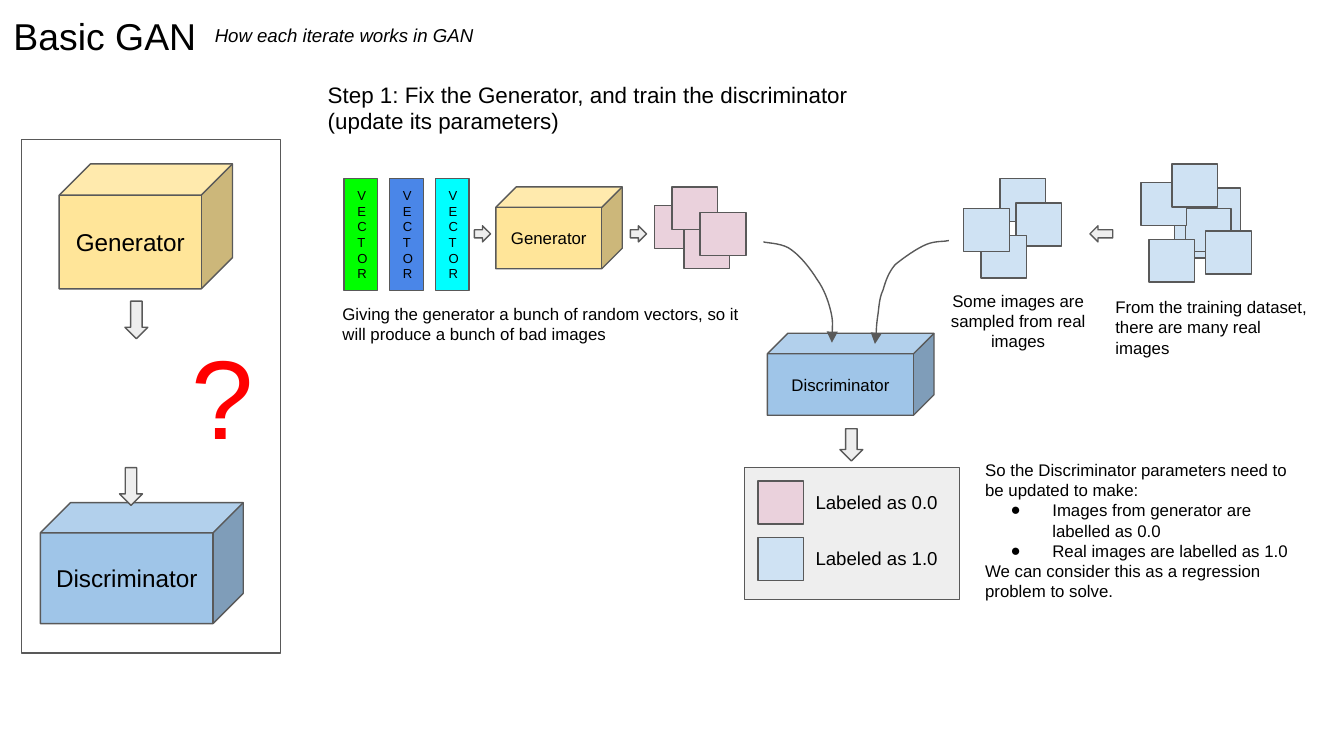
from typing import NamedTuple

import pptx
import pptx.dml.color
import pptx.enum.shapes
import pptx.enum.text
import pptx.oxml
import pptx.oxml.ns
import pptx.util

PX = 9144
SLIDE_W = 1000 * PX
SLIDE_H = SLIDE_W * 9 // 16
FONT = "Arial"
INSET = 10
IMAGE_W, IMAGE_H = 34, 32
COLORS = {
    "ink": "000000", "line": "595959", "question": "FF0000", "panel": "EEEEEE",
    "generator": "FFE599", "discriminator": "9FC5E8",
    "fake": "EAD1DC", "real": "CFE2F3",
    "green": "00FF00", "blue": "4A86E8", "cyan": "00FFFF",
}
SHAPE = pptx.enum.shapes.MSO_SHAPE
ANCHOR = pptx.enum.text.MSO_ANCHOR
ALIGN = pptx.enum.text.PP_ALIGN
qn = pptx.oxml.ns.qn


class Box(NamedTuple):
    x: int
    y: int
    w: int
    h: int


class Block(NamedTuple):
    kind: SHAPE
    box: Box
    color: str | None
    text: str = ""
    size: int = 9
    align: ALIGN = ALIGN.CENTER


class Label(NamedTuple):
    box: Box
    text: str
    size: int
    align: ALIGN = ALIGN.LEFT
    color: str = "ink"
    italic: bool = False


class Stack(NamedTuple):
    color: str
    corners: list[tuple[int, int]]


class Curve(NamedTuple):
    start: tuple[int, int]
    points: list[tuple[int, int]]


BLOCKS = [
    Block(SHAPE.RECTANGLE, Box(554, 348, 160, 98), "panel"),
    Block(SHAPE.RECTANGLE, Box(16, 104, 193, 382), None),
    Block(SHAPE.CUBE, Box(44, 122, 129, 93), "generator", "Generator", 13),
    Block(SHAPE.CUBE, Box(30, 374, 151, 90), "discriminator", "Discriminator", 13),
    Block(SHAPE.CUBE, Box(369, 139, 94, 61), "generator", "Generator"),
    Block(SHAPE.CUBE, Box(571, 248, 124, 61), "discriminator", "Discriminator"),
    Block(SHAPE.DOWN_ARROW, Box(93, 224, 17, 28), "panel"),
    Block(SHAPE.DOWN_ARROW, Box(89, 348, 17, 28), "panel"),
    Block(SHAPE.RIGHT_ARROW, Box(353, 168, 12, 12), "panel"),
    Block(SHAPE.RIGHT_ARROW, Box(469, 168, 12, 12), "panel"),
    Block(SHAPE.LEFT_ARROW, Box(811, 168, 17, 12), "panel"),
    Block(SHAPE.DOWN_ARROW, Box(625, 319, 17, 24), "panel"),
] + [
    Block(SHAPE.FLOWCHART_PROCESS, Box(256 + 34 * i, 133, 25, 83), color,
          "VE\nC\nT\nO\nR", 7, ALIGN.LEFT)
    for i, color in enumerate(["green", "blue", "cyan"])
]

STACKS = [
    Stack("fake", [(487, 153), (509, 168), (500, 139), (521, 158)]),
    Stack("real", [(874, 160), (889, 140), (882, 155), (849, 136),
                   (872, 122), (855, 178), (897, 172)]),
    Stack("real", [(744, 133), (756, 151), (730, 175), (717, 155)]),
    Stack("fake", [(564, 358)]),
    Stack("real", [(564, 400)]),
]

LABELS = [
    Label(Box(150, 8, 260, 37), "How each iterate works in GAN", 10, italic=True),
    Label(Box(133, 234, 82, 121), "?", 60, color="question"),
    Label(Box(234, 50, 432, 61), "Step 1: Fix the Generator, and train the "
          "discriminator (update its parameters)", 12),
    Label(Box(245, 216, 326, 50), "Giving the generator a bunch of random vectors, "
          "so it will produce a bunch of bad images", 9),
    Label(Box(820, 211, 171, 66),
          "From the training dataset, there are many real images", 9),
    Label(Box(693, 206, 129, 66),
          "Some images are sampled from real images", 9, ALIGN.CENTER),
    Label(Box(597, 355, 116, 37), "Labeled as 0.0", 10),
    Label(Box(597, 397, 116, 37), "Labeled as 1.0", 10),
]

TITLE = Label(Box(0, 0, 186, 54), "Basic GAN", 20)
GOAL = Label(
    Box(723, 332, 260, 126),
    "So the Discriminator parameters need to be updated to make:\n"
    "Images from generator are labelled as 0.0\n"
    "Real images are labelled as 1.0\n"
    "We can consider this as a regression problem to solve.", 9)
GOAL_BULLETS = {1, 2}

CURVES = [
    Curve((568, 180), [(572, 181), (583, 181), (589, 186), (596, 191), (603, 200),
                       (608, 208), (613, 215), (616, 223), (618, 231),
                       (620, 239), (619, 251), (619, 255)]),
    Curve((706, 179), [(703, 180), (696, 179), (689, 182), (682, 185), (672, 192),
                       (666, 197), (661, 203), (659, 209), (657, 216),
                       (654, 222), (654, 230), (653, 236),
                       (652, 243), (652, 252), (651, 256)]),
]


def emu(box: Box) -> list[int]:
    return [v * PX for v in box]


def rgb(name: str) -> pptx.dml.color.RGBColor:
    return pptx.dml.color.RGBColor.from_string(COLORS[name])


def write(sp, text: str, size: int, align: ALIGN, anchor: ANCHOR = ANCHOR.TOP,
          color: str = "ink", italic: bool = False) -> None:
    tf = sp.text_frame
    tf.word_wrap = True
    tf.auto_size = pptx.enum.text.MSO_AUTO_SIZE.NONE
    tf.vertical_anchor = anchor
    tf.margin_left = tf.margin_right = tf.margin_top = tf.margin_bottom = INSET * PX
    tf.text = text
    for p in tf.paragraphs:
        p.alignment = align
        for r in p.runs:
            r.font.name = FONT
            r.font.size = pptx.util.Pt(size)
            r.font.italic = italic
            r.font.color.rgb = rgb(color)


def outline(sp, color: str | None) -> None:
    sp.shadow.inherit = False
    if color:
        sp.fill.solid()
        sp.fill.fore_color.rgb = rgb(color)
    else:
        sp.fill.background()
    sp.line.color.rgb = rgb("line")
    sp.line.width = pptx.util.Pt(0.75)


def draw_block(s, block: Block) -> None:
    sp = s.shapes.add_shape(block.kind, *emu(block.box))
    outline(sp, block.color)
    if block.text:
        write(sp, block.text, block.size, block.align, ANCHOR.MIDDLE)


def draw_stack(s, stack: Stack) -> None:
    for x, y in stack.corners:
        draw_block(s, Block(SHAPE.RECTANGLE, Box(x, y, IMAGE_W, IMAGE_H), stack.color))


def draw_label(s, label: Label) -> None:
    sp = s.shapes.add_textbox(*emu(label.box))
    write(sp, label.text, label.size, label.align, color=label.color, italic=label.italic)


def draw_curve(s, curve: Curve) -> None:
    builder = s.shapes.build_freeform(*curve.start, scale=PX)
    builder.add_line_segments(curve.points, close=False)
    sp = builder.convert_to_shape()
    outline(sp, None)
    segments = list(sp._element.iter(qn("a:lnTo")))
    for first, second, third in zip(*[iter(segments)] * 3):
        bezier = pptx.oxml.parse_xml(f'<a:cubicBezTo {pptx.oxml.ns.nsdecls("a")}/>')
        first.addprevious(bezier)
        for segment in (first, second, third):
            bezier.append(segment[0])
            segment.getparent().remove(segment)
    ln = sp._element.spPr.find(qn("a:ln"))
    ln.append(pptx.oxml.parse_xml(
        f'<a:tailEnd {pptx.oxml.ns.nsdecls("a")} type="triangle"/>'))


def fill_placeholder(sp, label: Label) -> None:
    sp.left, sp.top, sp.width, sp.height = emu(label.box)
    write(sp, label.text, label.size, label.align)


def set_bullet(p, bulleted: bool) -> None:
    pPr = p._p.get_or_add_pPr()
    pPr.set("marL", str(50 * PX if bulleted else 0))
    pPr.set("indent", str(-31 * PX if bulleted else 0))
    ns = pptx.oxml.ns.nsdecls("a")
    marks = [
        f'<a:buClr {ns}><a:srgbClr val="{COLORS["ink"]}"/></a:buClr>',
        f'<a:buFont {ns} typeface="{FONT}"/>',
        f'<a:buChar {ns} char="●"/>',
    ] if bulleted else [f"<a:buNone {ns}/>"]
    for mark in marks:
        pPr.append(pptx.oxml.parse_xml(mark))
    p.space_before = pptx.util.Pt(0)


def main() -> None:
    prs = pptx.Presentation()
    prs.slide_width, prs.slide_height = SLIDE_W, SLIDE_H
    s = prs.slides.add_slide(prs.slide_layouts[1])
    fill_placeholder(s.shapes.title, TITLE)
    body = s.placeholders[1]
    fill_placeholder(body, GOAL)
    for i, p in enumerate(body.text_frame.paragraphs):
        set_bullet(p, i in GOAL_BULLETS)
    for draw, items in [(draw_block, BLOCKS), (draw_stack, STACKS),
                        (draw_label, LABELS), (draw_curve, CURVES)]:
        for item in items:
            draw(s, item)
    prs.save("out.pptx")


if __name__ == "__main__":
    main()
